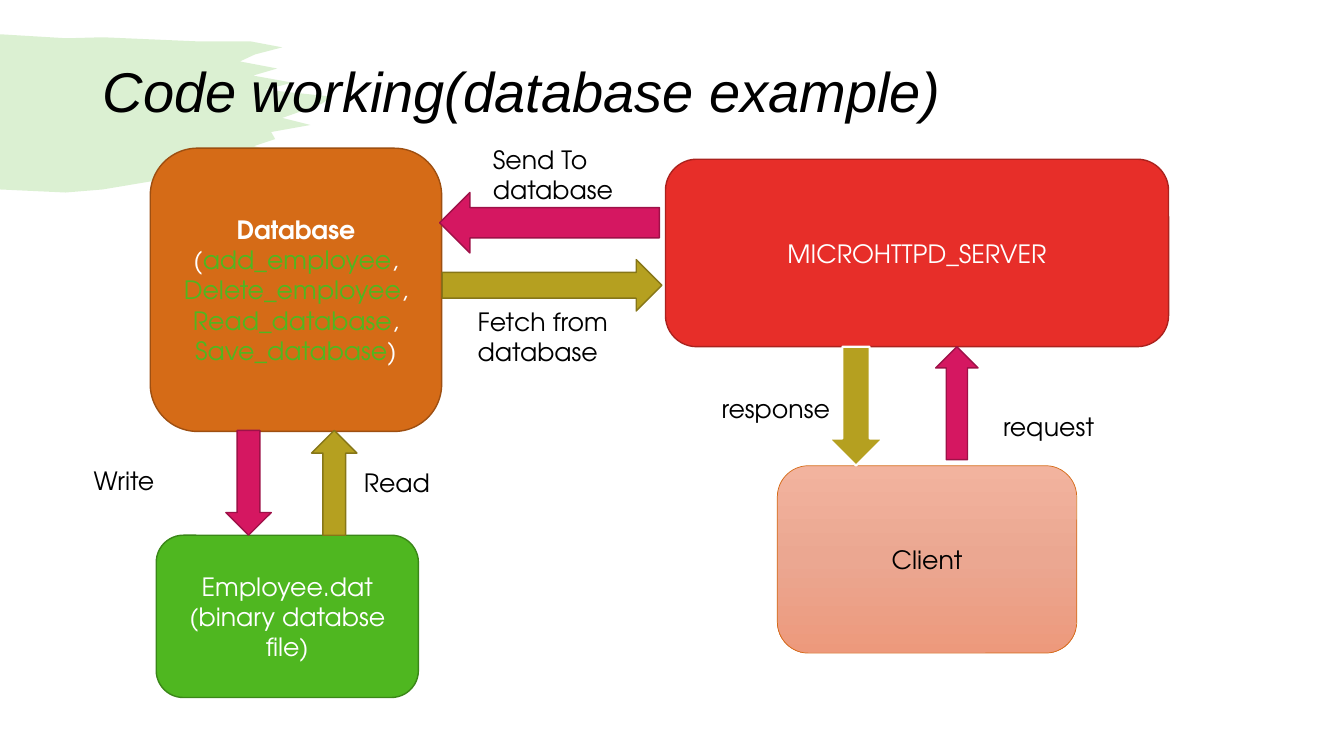
from dataclasses import dataclass
from copy import deepcopy

from lxml.etree import SubElement
from pptx import Presentation
from pptx.dml.color import RGBColor
from pptx.enum.shapes import MSO_SHAPE as Preset
from pptx.enum.text import MSO_ANCHOR as Anchor, MSO_AUTO_SIZE as AutoSize, PP_ALIGN as Align
from pptx.oxml.ns import qn
from pptx.shapes.autoshape import Shape
from pptx.slide import Slide
from pptx.util import Inches, Pt

WHITE = RGBColor.from_string("FFFFFF")
BLACK = RGBColor.from_string("000000")
GREEN = RGBColor.from_string("4FB720")
DARK_GREEN = RGBColor.from_string("3A8718")
ORANGE = RGBColor.from_string("D56B17")
DARK_ORANGE = RGBColor.from_string("9E4F11")
RED = RGBColor.from_string("E72E29")
DARK_RED = RGBColor.from_string("AB221E")
PINK = RGBColor.from_string("D51761")
DARK_PINK = RGBColor.from_string("9E1148")
OLIVE = RGBColor.from_string("B5A020")
DARK_OLIVE = RGBColor.from_string("867618")
CLIENT_COLORS = tuple(map(RGBColor.from_string, ("F2B39E", "EBA791", "ED997C")))

BODY_FORMAT = {"name": "TeX Gyre Adventor", "size": Pt(18)}
TITLE_FORMAT = {"name": "Arial", "size": Pt(40), "italic": True}

Place = tuple[float, float, float, float]


@dataclass(frozen=True)
class Span:
    text: str
    color: RGBColor = WHITE
    bold: bool = False


@dataclass(frozen=True)
class Node:
    place: Place
    fill: RGBColor | None
    line: RGBColor
    lines: tuple[tuple[Span, ...], ...]
    line_width: float = 1


@dataclass(frozen=True)
class Arrow:
    place: Place
    fill: RGBColor
    line: RGBColor
    rotation: int = 0
    line_width: float = 1


@dataclass(frozen=True)
class Label:
    text: str
    left: float
    top: float
    width: float = 1.29
    height: float = 0.4


def call(name: str, opening: str = "", closing: str = ",") -> tuple[Span, ...]:
    """One function name in green between white punctuation."""
    spans = (Span(opening), Span(name, GREEN), Span(closing))
    return tuple(span for span in spans if span.text)


NODES = (
    Node((1.49, 1.47, 2.89, 2.81), ORANGE, DARK_ORANGE, (
        (Span("Database", bold=True),),
        call("add_employee", opening="("),
        call("Delete_employee"),
        call("Read_database"),
        call("Save_database", closing=")"),
    )),
    Node((1.55, 5.31, 2.6, 1.61), GREEN, DARK_GREEN,
         ((Span("Employee.dat"),), (Span("(binary databse file)"),))),
    Node((6.6, 1.58, 4.99, 1.86), RED, DARK_RED, ((Span("MICROHTTPD_SERVER"),),)),
    Node((7.71, 4.62, 2.97, 1.86), None, ORANGE, ((Span("Client", BLACK),),), 0.5),
)
ARROWS = (
    Arrow((8.22, 3.44, 0.54, 1.18), OLIVE, WHITE, line_width=1.5),
    Arrow((9.28, 3.44, 0.42, 1.12), PINK, DARK_PINK, 180),
    Arrow((5.15, 1.12, 0.6, 2.18), PINK, DARK_PINK, 90),
    Arrow((2.24, 4.27, 0.45, 1.04), PINK, DARK_PINK),
    Arrow((3.09, 4.27, 0.45, 1.04), OLIVE, DARK_OLIVE, 180),
    Arrow((5.22, 1.74, 0.51, 2.18), OLIVE, DARK_OLIVE, 270),
)
LABELS = (
    Label("request", 9.85, 4.03),
    Label("response", 7.06, 3.85),
    Label("Fetch from database", 4.64, 2.99, 1.67, 0.71),
    Label("Send To database", 4.79, 1.38, 1.67, 0.71),
    Label("Write", 0.83, 4.57),
    Label("Read", 3.51, 4.59),
)

# The ragged end of the brush stroke: bristle tips at even heights.
BRISTLES = (2.8, 2.53, 2.38, 2.75, 2.51, 2.9, 2.63, 3.3, 3.19, 3, 2.8, 3.08, 2.69, 2.73, 2.52)
BRISTLE_TOP, BRISTLE_STEP = 0.47, 0.07
BRUSH_TOP = ((0.66, 0.38), (1.02, 0.37), (1.94, 0.41), (2.48, 0.41))
BRUSH_BOTTOM = ((2.63, 1.48), (1.97, 1.72), (1.02, 1.88), (0.65, 1.91), (0, 1.88))


def draw_brush(page: Slide) -> None:
    """Pale brush stroke behind the title."""
    tips = [(x, BRISTLE_TOP + row * BRISTLE_STEP) for row, x in enumerate(BRISTLES)]
    points = [*BRUSH_TOP, *tips, *BRUSH_BOTTOM]
    outline = page.shapes.build_freeform(Inches(0), Inches(0.34))
    outline.add_line_segments([(Inches(x), Inches(y)) for x, y in points], close=True)
    brush = outline.convert_to_shape()
    brush.shadow.inherit = False
    brush.fill.solid()
    brush.fill.fore_color.rgb = GREEN
    color = brush.element.spPr.find(f"{qn('a:solidFill')}/{qn('a:srgbClr')}")
    SubElement(color, qn("a:alpha"), val="20000")
    brush.line.fill.background()


def write_spans(para, spans: tuple[Span, ...], text_format: dict) -> None:
    for span in spans:
        run = para.add_run()
        run.text = span.text
        for name, value in (text_format | {"bold": span.bold}).items():
            setattr(run.font, name, value)
        run.font.color.rgb = span.color


def fill_client_gradient(box: Shape) -> None:
    box.fill.gradient()
    box.fill.gradient_angle = 270
    stops = box.element.spPr.find(f"{qn('a:gradFill')}/{qn('a:gsLst')}")
    stops.append(deepcopy(stops[-1]))
    for index, (stop, color) in enumerate(zip(box.fill.gradient_stops, CLIENT_COLORS)):
        stop.position = index / 2
        stop.color.rgb = color


def draw_shape(page: Slide, preset: Preset, item: Node | Arrow) -> Shape:
    box = page.shapes.add_shape(preset, *map(Inches, item.place))
    box.shadow.inherit = False
    if item.fill is None:
        fill_client_gradient(box)
    else:
        box.fill.solid()
        box.fill.fore_color.rgb = item.fill
    box.line.color.rgb = item.line
    box.line.width = Pt(item.line_width)
    return box


def draw_node(page: Slide, node: Node) -> None:
    frame = draw_shape(page, Preset.ROUNDED_RECTANGLE, node).text_frame
    frame.word_wrap = True
    frame.vertical_anchor = Anchor.MIDDLE
    for index, spans in enumerate(node.lines):
        para = frame.add_paragraph() if index else frame.paragraphs[0]
        para.alignment = Align.CENTER
        write_spans(para, spans, BODY_FORMAT)


def draw_text(page: Slide, label: Label, text_format: dict) -> Shape:
    place = (label.left, label.top, label.width, label.height)
    box = page.shapes.add_textbox(*map(Inches, place))
    box.text_frame.word_wrap = True
    write_spans(box.text_frame.paragraphs[0], (Span(label.text, BLACK),), text_format)
    return box


def main() -> None:
    deck = Presentation()
    deck.slide_width, deck.slide_height = Inches(13.33), Inches(7.5)
    page = deck.slides.add_slide(deck.slide_layouts[6])
    draw_brush(page)
    title = draw_text(page, Label("Code working(database example)", 0.92, 0.4, 11.5, 1.07), TITLE_FORMAT)
    title.text_frame.vertical_anchor = Anchor.MIDDLE
    title.text_frame.paragraphs[0].line_spacing = 0.9
    for node in NODES:
        draw_node(page, node)
    for arrow in ARROWS:
        draw_shape(page, Preset.DOWN_ARROW, arrow).rotation = arrow.rotation
    for label in LABELS:
        draw_text(page, label, BODY_FORMAT).text_frame.auto_size = AutoSize.SHAPE_TO_FIT_TEXT
    deck.save("out.pptx")


if __name__ == "__main__":
    main()
